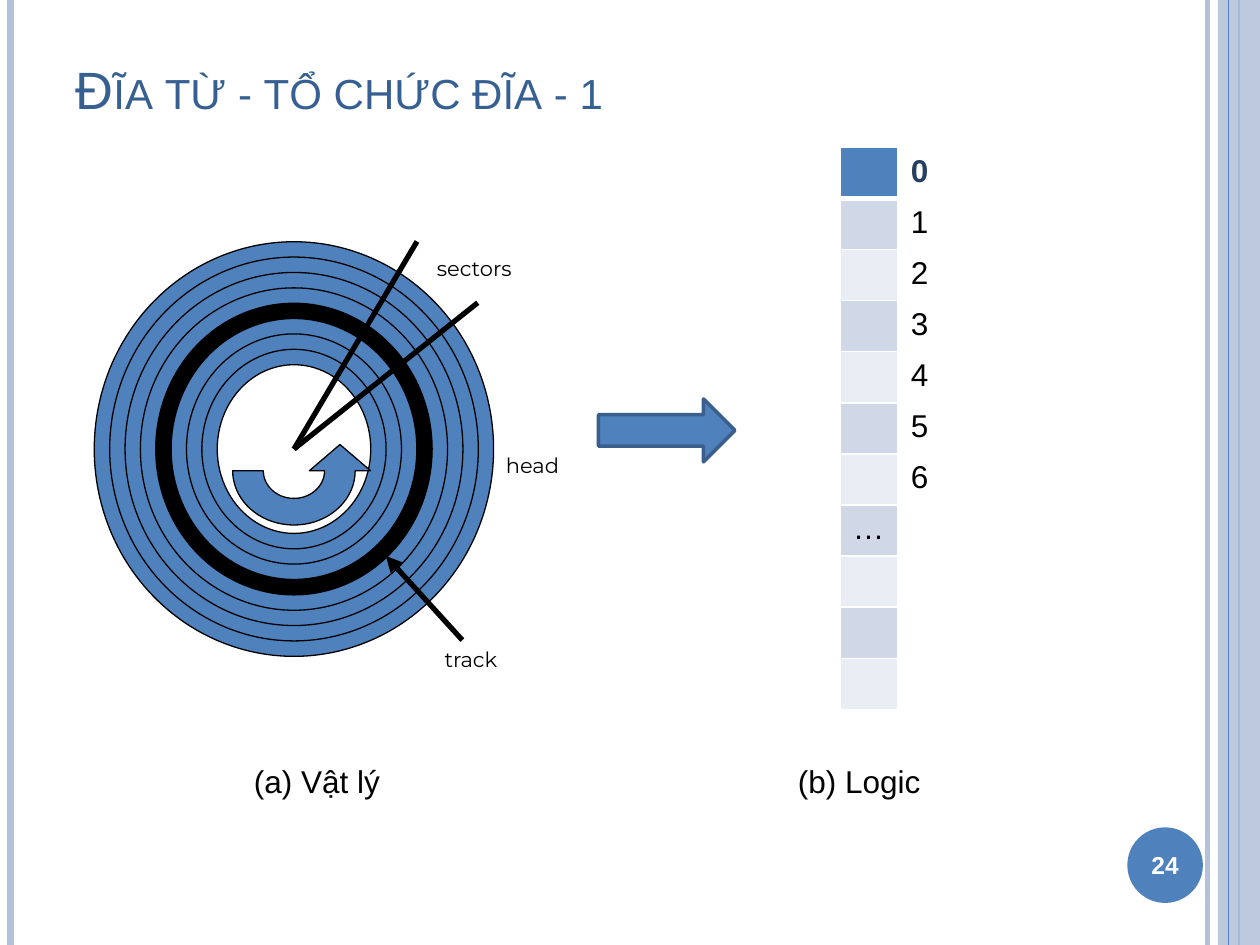
import math
from dataclasses import dataclass

from lxml import etree
from pptx import Presentation
from pptx.dml.color import RGBColor
from pptx.enum import shapes, text
from pptx.oxml import ns
from pptx.util import Pt


@dataclass(frozen=True)
class Theme:
    blue: str = "4F81BD"
    pale: str = "B3C1DB"
    edge: str = "3A5F8C"
    title: str = "376092"
    first: str = "254061"
    odd_row: str = "D0D8E8"
    even_row: str = "E9EDF4"
    black: str = "000000"
    white: str = "FFFFFF"
    font: str = "Arial"
    label_font: str = "Montserrat"
    title_size: float = 30
    body_size: float = 18
    number_size: float = 14
    label_size: float = 12


@dataclass(frozen=True)
class Line:
    x1: float
    y1: float
    x2: float
    y2: float
    color: str
    width: float
    arrow: bool = False


@dataclass(frozen=True)
class Label:
    words: str
    x: float
    y: float
    w: float
    h: float
    size: float
    font: str
    wrap: bool = True


T = Theme()
SHAPE = shapes.MSO_SHAPE


def rgb(color: str) -> RGBColor:
    return RGBColor.from_string(color)


def sub(parent, tag: str, **attrs: str):
    return etree.SubElement(parent, ns.qn(tag), attrs)


def set_font(p, size: float, color: str, font: str = T.font, bold: bool = False) -> None:
    p.font.name, p.font.size, p.font.bold = font, Pt(size), bold
    p.font.color.rgb = rgb(color)


def paint(sp, fill: str, line: str | None = None, width: float = 0.75) -> None:
    sp.shadow.inherit = False
    sp.fill.solid()
    sp.fill.fore_color.rgb = rgb(fill)
    if line:
        sp.line.color.rgb, sp.line.width = rgb(line), Pt(width)
    else:
        sp.line.fill.background()


def add_shape(s, kind, x: float, y: float, w: float, h: float, fill: str,
              line: str | None = None, width: float = 0.75):
    sp = s.shapes.add_shape(kind, Pt(x), Pt(y), Pt(w), Pt(h))
    paint(sp, fill, line, width)
    return sp


def add_line(s, line: Line) -> None:
    cx = s.shapes.add_connector(shapes.MSO_CONNECTOR.STRAIGHT, Pt(line.x1), Pt(line.y1),
                                Pt(line.x2), Pt(line.y2))
    cx.line.color.rgb, cx.line.width = rgb(line.color), Pt(line.width)
    if line.arrow:
        sub(cx.line._get_or_add_ln(), "a:tailEnd", type="triangle")
    sub(cx._element.spPr, "a:effectLst")


def add_label(s, label: Label) -> None:
    tf = s.shapes.add_textbox(Pt(label.x), Pt(label.y), Pt(label.w), Pt(label.h)).text_frame
    tf.word_wrap = label.wrap
    p = tf.paragraphs[0]
    p.text = label.words
    set_font(p, label.size, T.black, label.font)


def add_frame(s) -> None:
    """Vertical stripes at both sides and the slide number."""
    for x, color, width in ((690, T.pale, 3), (6, T.pale, 4.5), (708, T.blue, 1.5)):
        add_line(s, Line(x, 0, x, 540, color, width))
    band = add_shape(s, SHAPE.RECTANGLE, 696, 0, 24, 540, T.pale)
    sub(band._element.spPr.find(".//" + ns.qn("a:srgbClr")), "a:alpha", val="87000")
    add_line(s, Line(702, 0, 702, 540, T.blue, 0.75))

    badge = add_shape(s, SHAPE.OVAL, 644.2, 472.8, 43.2, 43.2, T.blue)
    tf = badge.text_frame
    tf.margin_left = tf.margin_right = 0
    tf.vertical_anchor = text.MSO_ANCHOR.MIDDLE
    p = tf.paragraphs[0]
    p.text, p.alignment = "24", text.PP_ALIGN.CENTER
    set_font(p, T.number_size, T.white, bold=True)


def add_title(s, words: str) -> None:
    sp = s.shapes.title
    sp.left, sp.top, sp.width, sp.height = Pt(36), Pt(21.6), Pt(606), Pt(50.4)
    tf = sp.text_frame
    tf.auto_size = text.MSO_AUTO_SIZE.NONE
    tf.vertical_anchor = text.MSO_ANCHOR.BOTTOM
    p = tf.paragraphs[0]
    p.text, p.alignment = words, text.PP_ALIGN.LEFT
    set_font(p, T.title_size, T.title)
    p.runs[0]._r.get_or_add_rPr().set("cap", "small")


def add_disk(s) -> None:
    """Concentric tracks, the rotation arrow and the pointers."""
    cx, cy, w, h, step = 168, 256.6, 228.2, 236.9, 8.78
    tracks = [T.blue] * 4 + [T.black] + [T.blue] * 3 + [T.white]
    for i, fill in enumerate(tracks):
        rw, rh = w - 2 * i * step, h - 2 * i * step
        add_shape(s, SHAPE.OVAL, cx - rw / 2, cy - rh / 2, rw, rh, fill, T.black)

    # Half turn: inner arc back, outer arc forward, then the arrowhead
    base, rx, ry, inner_rx, inner_ry = 269, 35, 31, 17.5, 15.8
    angles = [math.radians(a) for a in range(0, 181, 5)]
    inner = [(cx + inner_rx * math.cos(a), base + inner_ry * math.sin(a)) for a in angles]
    outer = [(cx + rx * math.cos(a), base + ry * math.sin(a)) for a in reversed(angles)]
    head = [(cx + 43.8, base), (cx + 26.3, base - 15), (cx + 8.8, base)]
    points = [(Pt(x), Pt(y)) for x, y in inner + outer + head]
    fb = s.shapes.build_freeform(*points[0])
    fb.add_line_segments(points[1:], close=True)
    paint(fb.convert_to_shape(), T.blue, T.black)

    for line in (Line(264.2, 365.8, 220.5, 317.7, T.black, 3, arrow=True),
                 Line(cx, cy, 238.3, 138, T.black, 3),
                 Line(cx, cy, 273, 173, T.black, 3)):
        add_line(s, line)
    for words, x, y, width in (("head", 282, 254.9, 54), ("track", 247, 365.8, 72),
                               ("sectors", 242.6, 142.4, 99)):
        add_label(s, Label(words, x, y, width, 21.8, T.label_size, T.label_font))


def format_cell(cell, words: str, fill: str | None, first: bool) -> None:
    tc_pr = cell._tc.get_or_add_tcPr()
    for side in ("a:lnL", "a:lnR", "a:lnT", "a:lnB"):
        width = 3 if first and side == "a:lnB" else 1
        ln = sub(tc_pr, side, w=str(Pt(width)))
        sub(sub(ln, "a:solidFill"), "a:srgbClr", val=T.white)
    if fill:
        cell.fill.solid()
        cell.fill.fore_color.rgb = rgb(fill)
    else:
        cell.fill.background()
    p = cell.text_frame.paragraphs[0]
    p.text = words
    set_font(p, T.body_size, T.first if first else T.black, bold=first)


def add_blocks(s) -> None:
    """Logical view: a column of numbered blocks."""
    rows, numbered, row_h, col_w = 11, 7, 29.2, 33.1
    table = s.shapes.add_table(rows, 2, Pt(480.2), Pt(84.2), Pt(2 * col_w),
                               Pt(rows * row_h)).table
    table.first_row = table.horz_banding = False
    for col in table.columns:
        col.width = Pt(col_w)
    for i, row in enumerate(table.rows):
        row.height = Pt(row_h)
        fill = T.blue if i == 0 else (T.odd_row if i % 2 else T.even_row)
        format_cell(row.cells[0], "…" if i == numbered else "", fill, i == 0)
        format_cell(row.cells[1], str(i) if i < numbered else "", None, i == 0)


def main() -> None:
    prs = Presentation()
    prs.slide_width, prs.slide_height = Pt(720), Pt(540)
    s = prs.slides.add_slide(prs.slide_layouts[5])
    add_frame(s)
    add_title(s, "Đĩa từ - tổ chức đĩa - 1")
    add_blocks(s)
    add_disk(s)
    add_shape(s, SHAPE.RIGHT_ARROW, 342, 228, 78, 36, T.blue, T.edge, 2)
    # Captions
    for words, x, width in (("(a) Vật lý", 138, 87), ("(b) Logic", 448.8, 85)):
        add_label(s, Label(words, x, 432, width, 29, T.body_size, T.font, wrap=False))
    prs.save("out.pptx")


if __name__ == "__main__":
    main()
